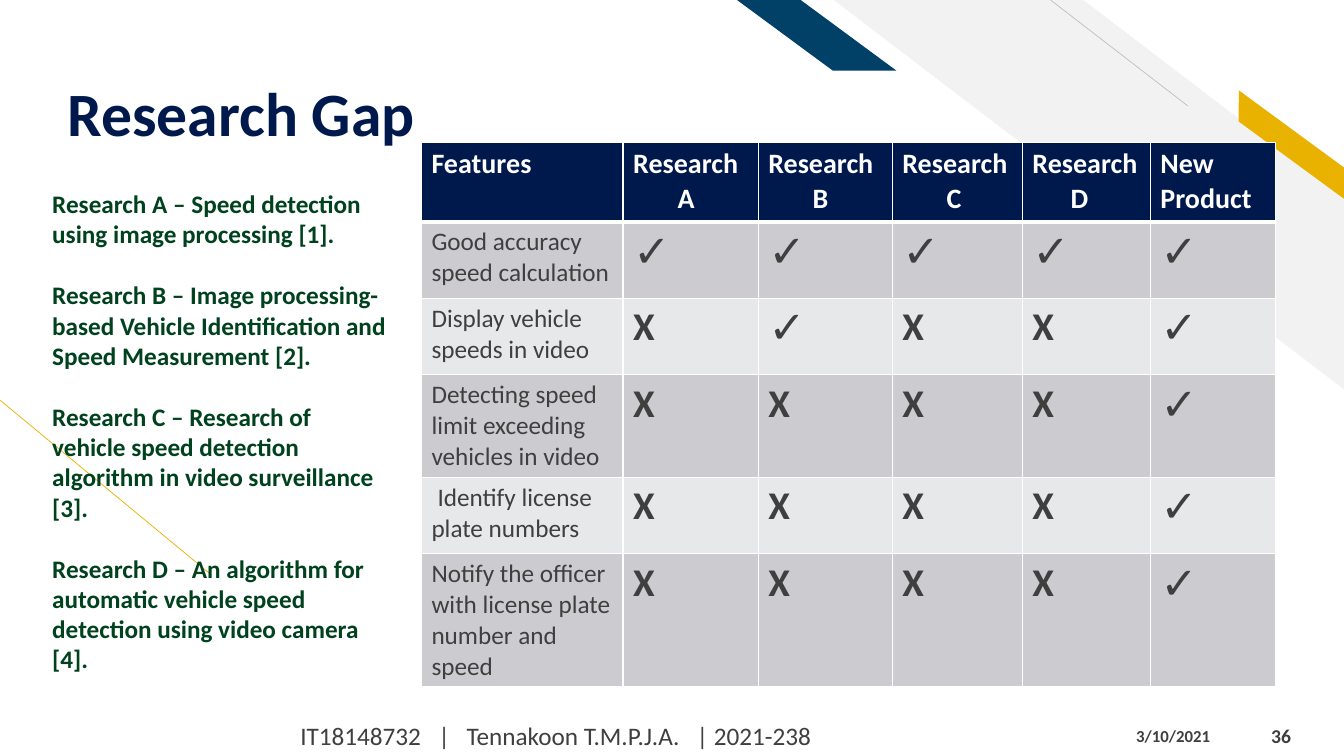
import pptx
import pptx.util
import pptx.dml.color
import pptx.enum.shapes
import pptx.enum.text
import pptx.oxml.ns
from dataclasses import dataclass
from lxml import etree

Inches = pptx.util.Inches
Pt = pptx.util.Pt
Shape = pptx.enum.shapes.MSO_SHAPE
Anchor = pptx.enum.text.MSO_ANCHOR
qn = pptx.oxml.ns.qn


@dataclass(frozen=True)
class Theme:
    navy: str = "00194C"
    teal: str = "014067"
    gold: str = "EAB200"
    green: str = "00421E"
    ink: str = "3F3F3F"
    white: str = "FFFFFF"
    stripe: str = "F2F2F2"
    hairline: str = "BFBFBF"
    bands: tuple = ("CCCCD0", "E7E8E9")
    font: str = "Calibri"
    check_font: str = "Arial"
    title: int = 44
    header: int = 20
    body: int = 18
    check: int = 32
    cross: int = 28
    number: int = 14
    date: int = 12


THEME = Theme()
CHECK, CROSS = "✓", "X"

COLUMN_WIDTHS = (2, 1.34, 1.33, 1.29, 1.27, 1.24)
ROW_HEIGHTS = (0.79, 0.76, 0.76, 1.0, 0.76, 1.31)
# Each heading line is paired with its indent in inches.
HEADINGS = (
    [("Features", 0)],
    [("Research", 0), ("A", 0.44)],
    [("Research", 0), ("B", 0.44)],
    [("Research", 0), ("C", 0.44)],
    [("Research", 0), ("D", 0.38)],
    [("New", 0), ("Product", 0)],
)
# Feature, first-line indent in inches, marks for Research A to D and New Product.
FEATURES = (
    ("Good accuracy speed calculation", 0, "✓✓✓✓✓"),
    ("Display vehicle speeds in video", 0, "X✓XX✓"),
    ("Detecting speed limit exceeding vehicles in video", 0, "XXXX✓"),
    ("Identify license plate numbers", 0.06, "XXXX✓"),
    ("Notify the officer with license plate number and speed", 0, "XXXX✓"),
)
STUDIES = (
    "Research A – Speed detection using image processing [1].",
    "Research B – Image processing-based Vehicle Identification and Speed Measurement [2].",
    "Research C – Research of vehicle speed detection algorithm in video surveillance [3].",
    "Research D – An algorithm for automatic vehicle speed detection using video camera [4].",
)


def rgb(color):
    return pptx.dml.color.RGBColor.from_string(color)


def add_run(paragraph, text, size, color, bold=False, font=THEME.font):
    run = paragraph.add_run()
    run.text = text
    run.font.name = font
    run.font.size = Pt(size)
    run.font.bold = bold
    run.font.color.rgb = rgb(color)


def paragraphs(frame, count):
    """Yield count paragraphs, the first being the one the frame already has."""
    yield frame.paragraphs[0]
    for _ in range(count - 1):
        yield frame.add_paragraph()


def add_band(slide, preset, box, adjustment, color, rotation=0):
    """Add a mirrored decorative band."""
    band = slide.shapes.add_shape(preset, *map(Inches, box))
    band.adjustments[0] = adjustment
    band.rotation = rotation
    band.shadow.inherit = False
    band.fill.solid()
    band.fill.fore_color.rgb = rgb(color)
    band.line.fill.background()
    band._element.spPr.find(qn("a:xfrm")).set("flipH", "1")


def add_hairline(slide, start, end, color):
    hairline = slide.shapes.add_connector(
        pptx.enum.shapes.MSO_CONNECTOR.STRAIGHT, *map(Inches, start + end))
    hairline.line.color.rgb = rgb(color)
    hairline.line.width = Pt(0.5)
    etree.SubElement(hairline._element.spPr, qn("a:effectLst"))


def add_text(slide, box, lines, size, color, bold=False, gap=0, anchor=Anchor.TOP):
    frame = slide.shapes.add_textbox(*map(Inches, box)).text_frame
    frame.word_wrap = True
    frame.vertical_anchor = anchor
    for index, (paragraph, line) in enumerate(zip(paragraphs(frame, len(lines)), lines)):
        if index and gap:
            paragraph.space_before = Pt(gap)
        add_run(paragraph, line, size, color, bold)
    return frame


def add_tab_stops(paragraph, stops):
    tabs = etree.SubElement(paragraph._p.get_or_add_pPr(), qn("a:tabLst"))
    for stop in stops:
        etree.SubElement(tabs, qn("a:tab"), pos=str(Inches(stop)), algn="l")


def style_cell(cell, fill, top=1, bottom=1):
    """Give the cell white borders, then its fill."""
    properties = cell._tc.get_or_add_tcPr()
    for side, width in (("L", 1), ("R", 1), ("T", top), ("B", bottom)):
        border = etree.SubElement(properties, qn(f"a:ln{side}"), w=str(Pt(width)))
        solid = etree.SubElement(border, qn("a:solidFill"))
        etree.SubElement(solid, qn("a:srgbClr"), val=THEME.white)
    cell.fill.solid()
    cell.fill.fore_color.rgb = rgb(fill)


def add_comparison(slide):
    table = slide.shapes.add_table(
        len(ROW_HEIGHTS), len(COLUMN_WIDTHS), Inches(4.18), Inches(1.41),
        Inches(sum(COLUMN_WIDTHS)), Inches(sum(ROW_HEIGHTS))).table
    for column, width in zip(table.columns, COLUMN_WIDTHS):
        column.width = Inches(width)
    for row, height in zip(table.rows, ROW_HEIGHTS):
        row.height = Inches(height)

    for column, heading in enumerate(HEADINGS):
        cell = table.cell(0, column)
        style_cell(cell, THEME.navy, bottom=3)
        for paragraph, (line, indent) in zip(paragraphs(cell.text_frame, len(heading)), heading):
            if indent:
                paragraph._p.get_or_add_pPr().set("marL", str(Inches(indent)))
            add_run(paragraph, line, THEME.header, THEME.white, bold=True)

    for row, (feature, indent, marks) in enumerate(FEATURES, start=1):
        for column, text in enumerate((feature, *marks)):
            cell = table.cell(row, column)
            style_cell(cell, THEME.bands[(row - 1) % 2], top=3 if row == 1 else 1)
            paragraph = cell.text_frame.paragraphs[0]
            if text == CHECK:
                add_run(paragraph, text, THEME.check, THEME.ink, True, THEME.check_font)
            elif text == CROSS:
                add_run(paragraph, text, THEME.cross, THEME.ink, True)
            else:
                if indent:
                    paragraph._p.get_or_add_pPr().set("indent", str(Inches(indent)))
                add_run(paragraph, text, THEME.body, THEME.ink)


def set_title(slide, text):
    title = slide.shapes.title
    title.left, title.top, title.width, title.height = map(Inches, (0.57, 0.23, 11.85, 1.26))
    frame = title.text_frame
    frame.vertical_anchor = Anchor.BOTTOM
    frame.margin_bottom = 0
    paragraph = frame.paragraphs[0]
    paragraph.alignment = pptx.enum.text.PP_ALIGN.LEFT
    paragraph.line_spacing = 0.9
    add_run(paragraph, text, THEME.title, THEME.navy, bold=True)


def main():
    deck = pptx.Presentation()
    deck.slide_width, deck.slide_height = Inches(13.33), Inches(7.5)
    slide = deck.slides.add_slide(deck.slide_layouts[5])

    add_hairline(slide, (2.08, 5.69), (0, 3.97), THEME.gold)
    add_band(slide, Shape.DIAGONAL_STRIPE, (8.27, 0, 5.07, 3.87), 0.512, THEME.stripe)
    add_hairline(slide, (11.78, 1.05), (10.42, 0), THEME.hairline)
    add_band(slide, Shape.PARALLELOGRAM, (12.07, 1.31, 1.48, 0.25), 0.72, THEME.gold, 36.3)
    add_band(slide, Shape.PARALLELOGRAM, (7.31, 0, 1.58, 0.7), 1.356, THEME.teal)

    set_title(slide, "Research Gap")
    add_comparison(slide)
    add_text(slide, (0.42, 1.82, 3.53, 5.0), STUDIES, THEME.body, THEME.green, bold=True, gap=22)

    footer = add_text(slide, (2.88, 7.1, 7.45, 0.4),
                      ["IT18148732\t|\tTennakoon T.M.P.J.A.\t| 2021-238"],
                      THEME.body, THEME.ink, anchor=Anchor.MIDDLE)
    add_tab_stops(footer.paragraphs[0], (1.37, 1.65, 3.93))
    add_text(slide, (11.17, 7.15, 1.25, 0.3), ["3/10/2021"], THEME.date, THEME.ink, bold=True)
    add_text(slide, (12.51, 7.1, 0.74, 0.4), ["36"], THEME.number, THEME.ink, bold=True,
             anchor=Anchor.MIDDLE)
    deck.save("out.pptx")


if __name__ == "__main__":
    main()
